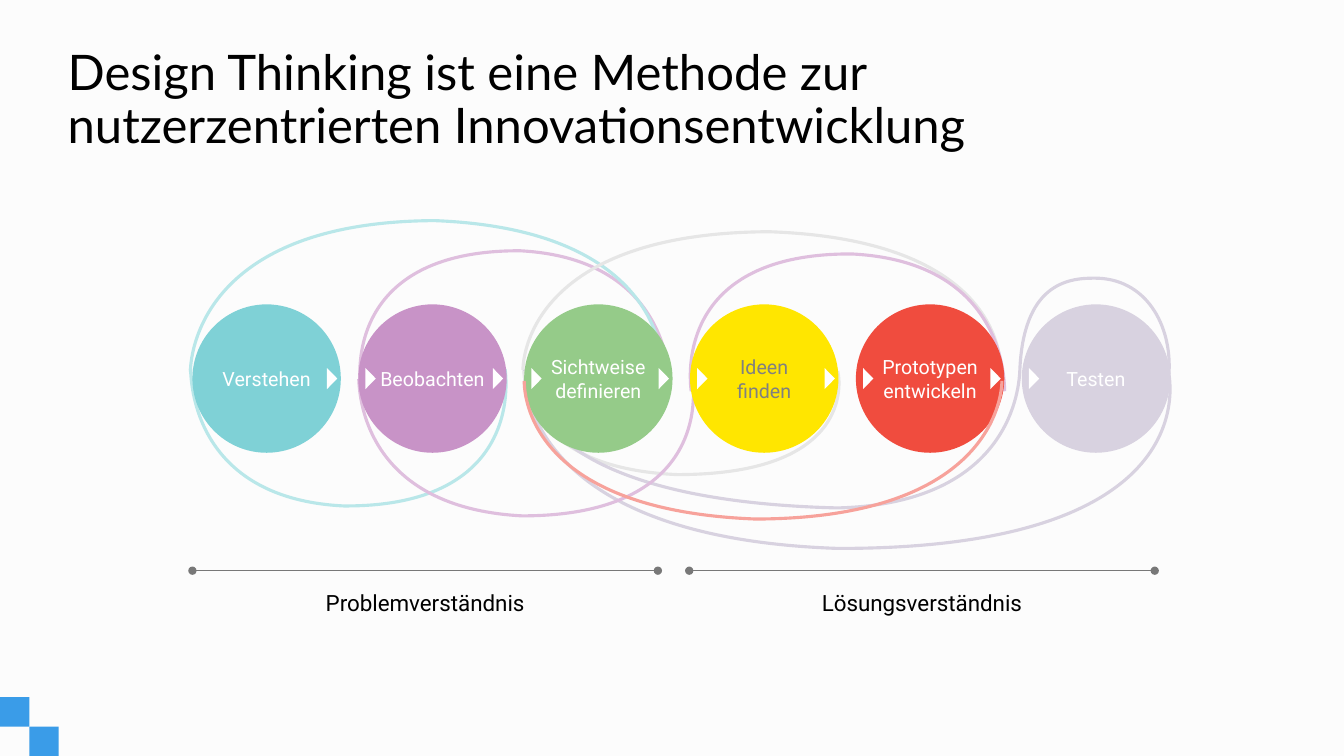
from lxml.etree import SubElement
from pptx import Presentation
from pptx.dml.color import RGBColor
from pptx.enum.shapes import MSO_CONNECTOR, MSO_SHAPE
from pptx.enum.text import MSO_ANCHOR, MSO_AUTO_SIZE, PP_ALIGN
from pptx.oxml.ns import qn
from pptx.util import Cm, Pt

COLORS = {
    "paper": "FCFCFC", "blue": "3A9CE8", "black": "000000", "white": "FFFFFF",
    "gray": "808080", "rule": "787878", "teal": "7FD1D6", "purple": "C893C7",
    "green": "95CB89", "yellow": "FFE600", "red": "F04C3E", "mauve": "D8D2E0",
    "pale_teal": "B9E7E9", "pale_purple": "DFBFDE", "pale_gray": "E6E6E6",
    "pale_red": "F7A29B",
}

STEPS = [
    (["Verstehen"], "teal", "white"),
    (["Beobachten"], "purple", "white"),
    (["Sichtweise definieren"], "green", "white"),
    (["Ideen finden"], "yellow", "gray"),
    (["Prototypen", "entwickeln"], "red", "white"),
    (["Testen"], "mauve", "white"),
]

LOOPS_BEHIND = [
    ("pale_purple", [(4.24, 4.22), (4.24, 4.17), (3.68, 0.74), (8.26, 0.76),
                     (12.19, 0.97), (12.02, 4.24), (12.04, 4.22)]),
    ("mauve", [(24.59, 3.76), (24.59, 3.79), (25.78, 8.28), (16.26, 8.26),
               (8.03, 7.98), (8.38, 3.71), (8.36, 3.76)]),
    ("pale_teal", [(7.88, 3.74), (7.88, 3.79), (8.46, 7.22), (3.81, 7.19),
                   (-0.2, 6.99), (-0.02, 3.71), (-0.05, 3.74)]),
    ("pale_teal", [(-0.05, 3.81), (-0.05, 3.79), (-0.13, 0.03), (6.1, 0),
                   (12.12, 0.23), (11.84, 3.86), (11.86, 3.81)]),
    ("pale_gray", [(16.26, 3.79), (16.28, 3.81), (16.87, 6.4), (12.22, 6.4),
                   (8.21, 6.23), (8.38, 3.76), (8.36, 3.79)]),
    ("pale_gray", [(8.33, 3.76), (8.33, 3.74), (8.26, 0.31), (14.53, 0.28),
                   (20.65, 0.49), (20.35, 3.81), (20.37, 3.76)]),
    ("pale_purple", [(12.57, 4.3), (12.57, 4.24), (11.99, 0.82), (16.61, 0.84),
                     (20.65, 1.04), (20.45, 4.32), (20.47, 4.3)]),
    ("mauve", [(24.61, 3.86), (24.69, 2.64), (24.03, 1.43), (22.71, 1.45),
               (22.05, 1.45), (20.93, 1.6), (20.85, 3.81),
               (20.8, 4.73), (20.22, 7.14), (16.26, 7.24),
               (8.1, 7.04), (8.46, 3.86), (8.43, 3.89)]),
    ("pale_purple", [(12.6, 3.99), (12.6, 4.02), (13.23, 7.44), (8.31, 7.44),
                     (4.04, 7.22), (4.22, 3.97), (4.19, 3.99)]),
]
LOOP_FRONT = ("pale_red", [(20.4, 4.04), (20.4, 4.07), (20.47, 7.5), (14.2, 7.52),
                           (8.1, 7.29), (8.38, 3.99), (8.36, 4.04)])


def rgb(name):
    """Return the named colour."""
    return RGBColor.from_string(COLORS[name])


def write(tf, lines, color, font, frame, para):
    """Fill a text frame, with format values given as dicts."""
    for key, value in frame.items():
        setattr(tf, key, value)
    for i, line in enumerate(lines):
        p = tf.paragraphs[0] if i == 0 else tf.add_paragraph()
        for key, value in para.items():
            setattr(p, key, value)
        r = p.add_run()
        r.text = line
        r.font.color.rgb = rgb(color)
        for key, value in font.items():
            setattr(r.font, key, value)


def add_filled(s, kind, left, top, width, height, color):
    """Add a preset shape with a plain fill, lengths in centimetres."""
    sp = s.shapes.add_shape(kind, Cm(left), Cm(top), Cm(width), Cm(height))
    sp.shadow.inherit = False
    sp.fill.solid()
    sp.fill.fore_color.rgb = rgb(color)
    sp.line.fill.background()
    return sp


def add_loop(s, left, top, color, points):
    """Draw an open curve of cubic segments, relative to a corner."""
    start, *rest = [(Cm(left + x), Cm(top + y)) for x, y in points]
    builder = s.shapes.build_freeform(*start)
    builder.add_line_segments(rest, close=False)
    sp = builder.convert_to_shape()
    sp.shadow.inherit = False
    sp.fill.background()
    sp.line.color.rgb = rgb(color)
    sp.line.width = Pt(2.25)
    outline = next(sp.element.iter(qn("a:path")))
    segments = outline.findall(qn("a:lnTo"))
    for i in range(0, len(segments), 3):
        curve = SubElement(outline, qn("a:cubicBezTo"))
        for segment in segments[i:i + 3]:
            curve.append(segment[0])
            outline.remove(segment)


def add_step(s, left, top, size, step, sides):
    """Add one step circle with arrows at the given centre offsets."""
    lines, fill, color = step
    sp = add_filled(s, MSO_SHAPE.OVAL, left, top, size, size, fill)
    write(sp.text_frame, lines, color, {"name": "Roboto", "size": Pt(14)},
          {"word_wrap": True, "vertical_anchor": MSO_ANCHOR.MIDDLE,
           "margin_left": 0, "margin_right": 0}, {"alignment": PP_ALIGN.CENTER})
    width, height = 0.53, 0.26
    for x in sides:
        arrow = add_filled(s, MSO_SHAPE.ISOSCELES_TRIANGLE, left + x - width / 2,
                           top + (size - height) / 2, width, height, "white")
        arrow.rotation = 90


def add_process(s, left, top):
    """Draw the six steps and the loops around them."""
    size, pitch = 3.74, 4.18
    for color, points in LOOPS_BEHIND:
        add_loop(s, left, top, color, points)
    for i, step in enumerate(STEPS):
        sides = [0.31] * (i > 0) + [size - 0.22] * (i < len(STEPS) - 1)
        add_step(s, left + i * pitch, top + 2.11, size, step, sides)
    add_loop(s, left, top, *LOOP_FRONT)


def add_phase(s, left, top, width, label):
    """Draw a phase line with round ends and its label below."""
    cxn = s.shapes.add_connector(MSO_CONNECTOR.STRAIGHT, Cm(left), Cm(top),
                                 Cm(left + width), Cm(top))
    cxn.line.color.rgb = rgb("rule")
    cxn.line.width = Pt(0.75)
    spPr = cxn.element.spPr
    for end in ("a:headEnd", "a:tailEnd"):
        SubElement(spPr.find(qn("a:ln")), qn(end), type="oval")
    SubElement(spPr, qn("a:effectLst"))
    box = s.shapes.add_textbox(Cm(left), Cm(top + 0.35), Cm(width), Cm(0.94))
    write(box.text_frame, [label], "black", {"name": "Roboto", "size": Pt(16)},
          {"word_wrap": False}, {"alignment": PP_ALIGN.CENTER})


def add_title(s, left, top, width, height, text):
    """Place the slide title in its placeholder."""
    sp = s.shapes.title
    sp.left, sp.top, sp.width, sp.height = map(Cm, (left, top, width, height))
    write(sp.text_frame, [text], "black", {"name": "Lato", "size": Pt(35)},
          {"word_wrap": True, "auto_size": MSO_AUTO_SIZE.NONE,
           "vertical_anchor": MSO_ANCHOR.TOP},
          {"alignment": PP_ALIGN.LEFT, "line_spacing": 0.9})


def add_corner(s, left, bottom, size):
    """Add the two stepped squares in the lower corner."""
    for i in range(2):
        add_filled(s, MSO_SHAPE.RECTANGLE, left + i * size,
                   bottom - (2 - i) * size, size, size, "blue")


def main():
    """Build the slide and save it."""
    prs = Presentation()
    prs.slide_width, prs.slide_height = Cm(33.87), Cm(19.05)
    s = prs.slides.add_slide(prs.slide_layouts[5])
    s.background.fill.solid()
    s.background.fill.fore_color.rgb = rgb("paper")
    add_corner(s, 0, 19.05, 0.74)
    add_title(s, 1.45, 1.09, 29.21, 1.14,
              "Design Thinking ist eine Methode zur nutzerzentrierten Innovationsentwicklung")
    add_process(s, 4.85, 5.56)
    for i, label in enumerate(["Problemverständnis", "Lösungsverständnis"]):
        add_phase(s, 4.85 + i * 12.52, 14.38, 11.73, label)
    prs.save("out.pptx")


if __name__ == "__main__":
    main()
